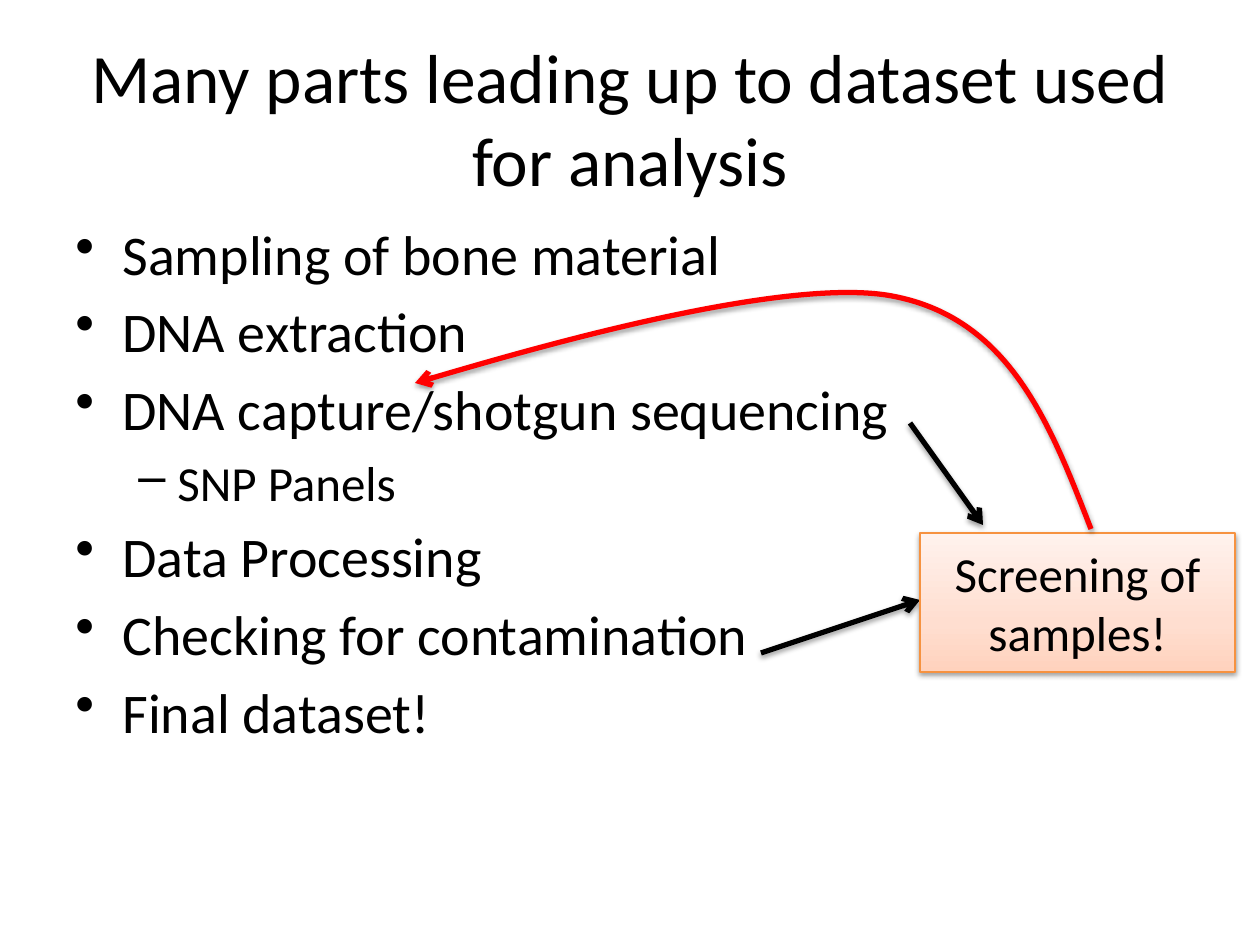
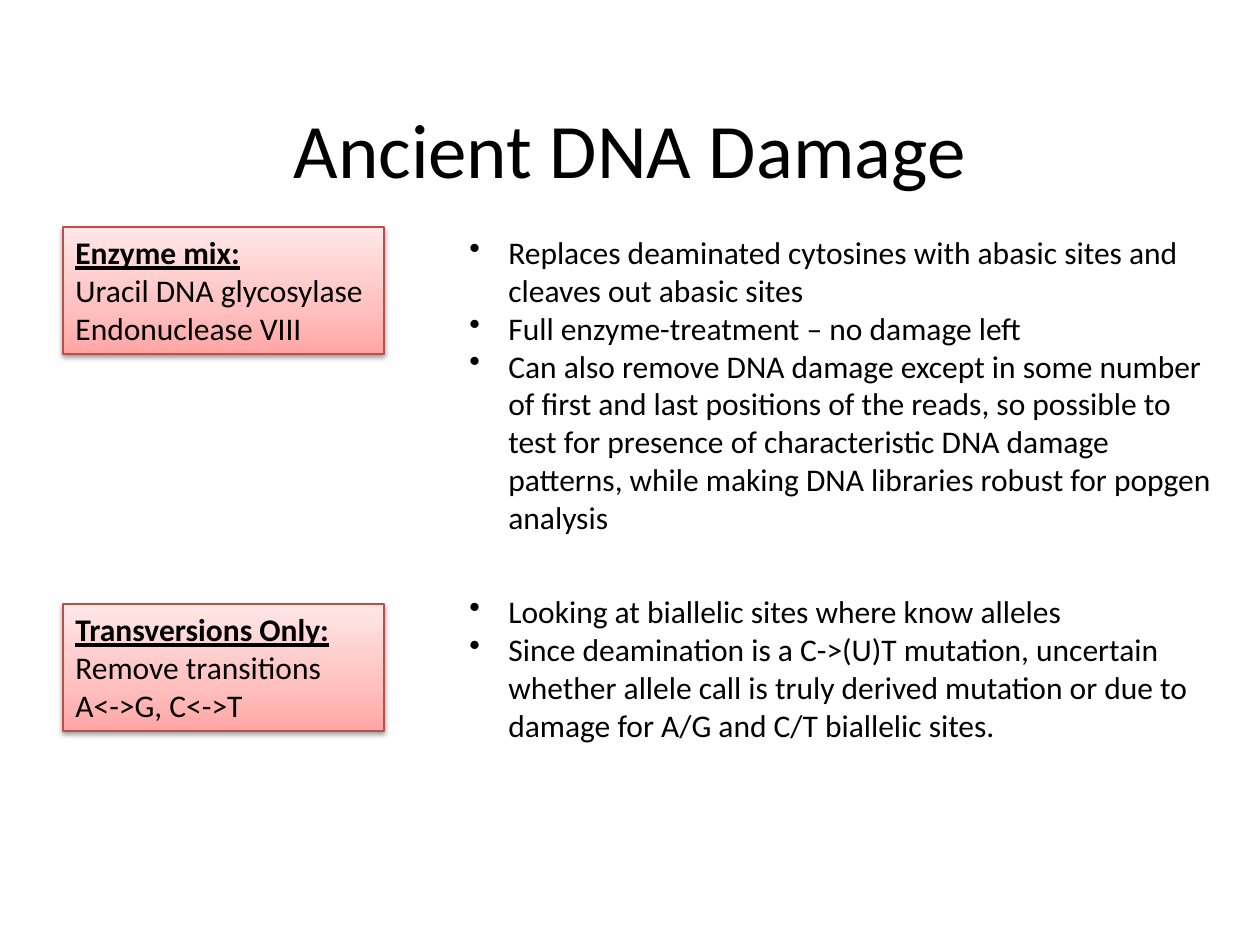
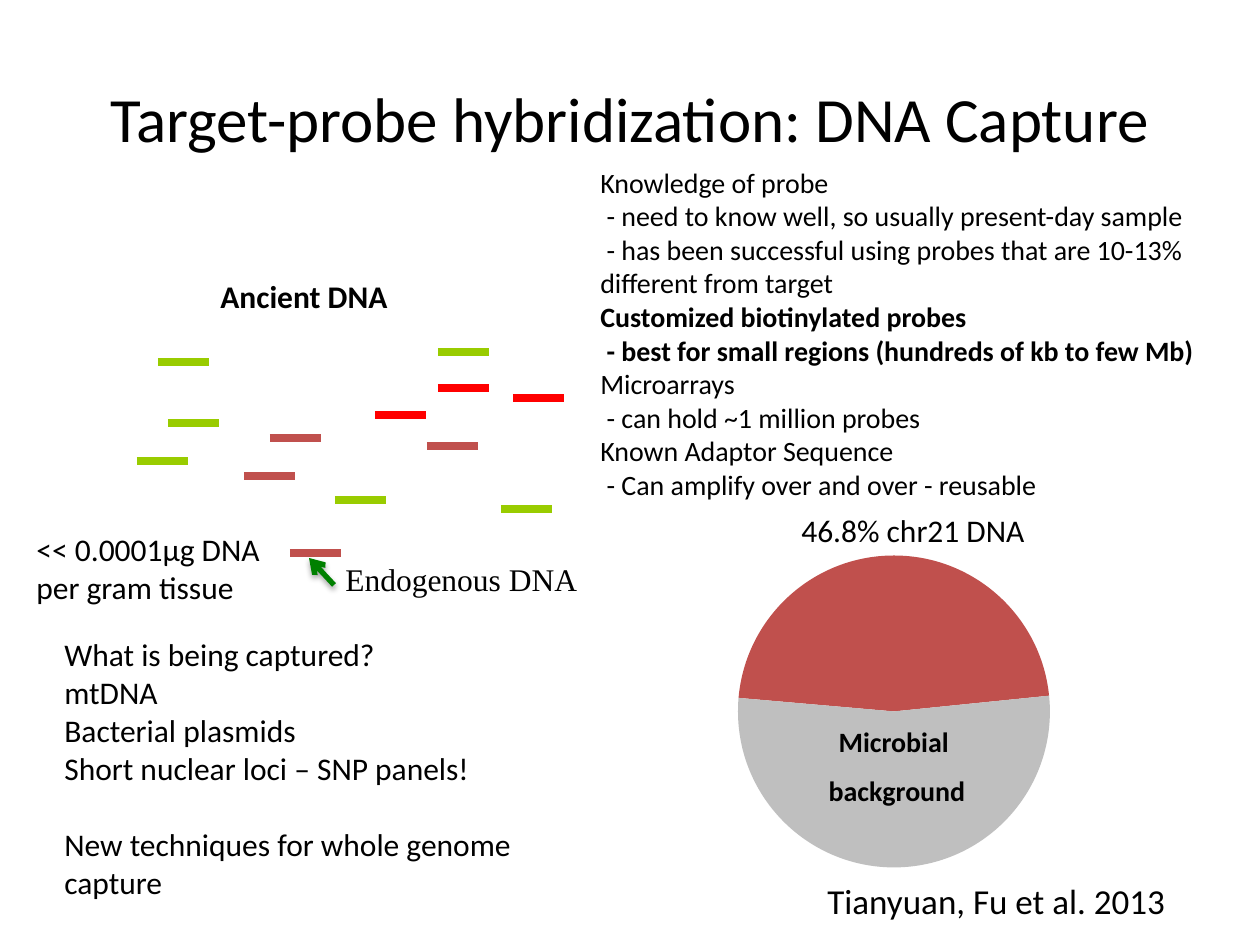
from lxml.etree import SubElement
from pptx import Presentation
from pptx.chart.data import CategoryChartData
from pptx.dml.color import RGBColor
from pptx.enum.chart import XL_CHART_TYPE as ChartType
from pptx.enum.shapes import MSO_CONNECTOR as Connector, MSO_SHAPE as Shape
from pptx.enum.text import MSO_ANCHOR as Anchor, MSO_AUTO_SIZE as AutoSize, PP_ALIGN as Align
from pptx.oxml.ns import qn
from pptx.util import Emu, Pt

SCALE = 914400 / 126
BLACK, RED, BRICK, LIME, GREEN, GREY = "000000", "FF0000", "C0504D", "99CC00", "008000", "BFBFBF"
ORANGE_CARD = {"stops": ("FFD2BD", "FFDED0", "FFF2ED"), "edge": "F69240"}
RED_CARD = {"stops": ("FFA6A5", "FFC0BF", "FFE7E7"), "edge": "BF4C48"}
HEADING = {"bold": True, "underline": True}
BOLD = {"bold": True}
TITLE_BOX = (63, 38, 1134, 158)


def px(length):
    return Emu(round(length * SCALE))


def color(code):
    return RGBColor.from_string(code)


def apply(target, formats):
    for name, value in formats.items():
        setattr(target, name, value)


def inside(box, left, top, width, height):
    return box[0] + left, box[1] + top, width, height


def add_node(parent, tag, **values):
    return SubElement(parent, qn(tag), {name: str(value) for name, value in values.items()})


def cast_shadow(shape, alpha=38, distance=20000):
    effects = add_node(shape._element.spPr, "a:effectLst")
    shadow = add_node(effects, "a:outerShdw", blurRad=40000, dist=distance, dir=5400000, rotWithShape=0)
    tint = add_node(shadow, "a:srgbClr", val=BLACK)
    add_node(tint, "a:alpha", val=alpha * 1000)


def style_line(shape, code, width, arrow=False):
    shape.line.color.rgb = color(code)
    shape.line.width = Pt(width)
    if arrow:
        add_node(shape._element.spPr.find(qn("a:ln")), "a:tailEnd", type="arrow")


def add_line(slide, start, end, code=BLACK, width=3, arrow=False):
    line = slide.shapes.add_connector(Connector.STRAIGHT, *map(px, start + end))
    style_line(line, code, width, arrow)
    return line


def add_bullet(paragraph, mark, margin, hang):
    props = paragraph._p.get_or_add_pPr()
    props.set("marL", str(px(margin)))
    props.set("indent", str(-px(hang)))
    add_node(props, "a:buChar", char=mark)


def write(frame, lines, size, font="Calibri", align=Align.LEFT, before=0):
    for index, line in enumerate(lines):
        text, formats = (line, {}) if isinstance(line, str) else line
        paragraph = frame.paragraphs[0] if index == 0 else frame.add_paragraph()
        apply(paragraph, {"alignment": align, "space_before": Pt(before)})
        run = paragraph.add_run()
        run.text = text
        apply(run.font, {"name": font, "size": Pt(size), **formats})
        run.font.color.rgb = color(BLACK)


def add_text(slide, box, lines, size=18, wrap=True, **formats):
    frame = slide.shapes.add_textbox(*map(px, box)).text_frame
    apply(frame, {"word_wrap": wrap, "auto_size": AutoSize.NONE})
    write(frame, lines, size, **formats)
    return frame


def add_title(slide, text, size, box=TITLE_BOX):
    add_text(slide, box, [text], size, align=Align.CENTER).vertical_anchor = Anchor.MIDDLE


def add_card(slide, box, lines, size, palette, align, anchor):
    card = slide.shapes.add_shape(Shape.RECTANGLE, *map(px, box))
    card.fill.gradient()
    card.fill.gradient_angle = 90
    stops = next(card._element.spPr.iter(qn("a:gsLst")))
    stops[:] = []
    for position, code in zip((0, 35, 100), palette["stops"]):
        add_node(add_node(stops, "a:gs", pos=position * 1000), "a:srgbClr", val=code)
    style_line(card, palette["edge"], 0.75)
    cast_shadow(card)
    apply(card.text_frame, {"word_wrap": True, "vertical_anchor": anchor})
    write(card.text_frame, lines, size, align=align)


def add_curve(slide, start, bends):
    builder = slide.shapes.build_freeform(*start, scale=SCALE)
    builder.add_line_segments([bend[-1] for bend in bends], close=False)
    curve = builder.convert_to_shape()
    ends = [start] + [bend[-1] for bend in bends]
    left, top = (min(values) for values in zip(*ends))
    for segment, bend in zip(list(curve._element.iter(qn("a:lnTo"))), bends):
        segment.tag = qn("a:cubicBezTo")
        segment[:] = []
        for x, y in bend:
            add_node(segment, "a:pt", x=x - left, y=y - top)
    curve.fill.background()
    style_line(curve, RED, 3, arrow=True)
    cast_shadow(curve)


def add_steps(slide, box, steps):
    frame = add_text(slide, box, [text for text, _ in steps], 32, before=6)
    for paragraph, (_, level) in zip(frame.paragraphs, steps):
        if level:
            paragraph.level = level
            paragraph.runs[0].font.size = Pt(28)
            add_bullet(paragraph, "–", 102, 39)
        else:
            add_bullet(paragraph, "•", 47, 47)


def add_screening(slide, box):
    def at(x, y):
        return box[0] + x, box[1] + y

    for start, end in [((-10, -110), (63, -8)), ((-159, 120), (0, 67))]:
        cast_shadow(add_line(slide, at(*start), at(*end), arrow=True))
    add_card(slide, box, ["Screening of samples!"], 28, ORANGE_CARD, Align.CENTER, Anchor.MIDDLE)
    add_curve(slide, at(171, -4), [
        [at(131, -107), at(91, -212), at(-23, -236)],
        [at(-135, -261), at(-505, -150), at(-505, -150)],
    ])


def add_method(slide, box, drop, heading, details, remarks):
    add_card(slide, inside(box, 0, drop, 321, 127), [(heading, HEADING), *details], 18,
             RED_CARD, Align.LEFT, Anchor.TOP)
    frame = add_text(slide, inside(box, 394, 0, box[2] - 394, box[3]), remarks)
    for paragraph in frame.paragraphs:
        add_bullet(paragraph, "•", 39, 39)


def add_fragments(slide, box):
    fragments = {
        BRICK: [(220, 205), (246, 167), (266, 282), (403, 175)],
        RED: [(351, 144), (489, 127), (414, 117)],
        LIME: [(134, 91), (144, 152), (113, 190), (311, 229), (414, 81), (477, 238)],
    }
    for code, starts in fragments.items():
        for left, top in starts:
            x, y = box[0] + left, box[1] + top
            strand = add_line(slide, (x, y), (x + 51, y), code, 4.5)
            add_node(strand._element.spPr, "a:effectLst")
    add_text(slide, inside(box, 184, 0, 194, 50), [("Ancient DNA", BOLD)], wrap=False)
    add_text(slide, inside(box, 0, 253, 287, 88), ["<< 0.0001μg DNA", "per gram tissue"], wrap=False)
    add_text(slide, inside(box, 309, 283, 260, 50), ["Endogenous DNA"], wrap=False,
             font="Times New Roman")
    pointer = add_line(slide, (box[0] + 310, box[1] + 314), (box[0] + 285, box[1] + 287),
                       GREEN, arrow=True)
    cast_shadow(pointer, 35, 23000)


def add_share_pie(slide, box):
    shares = CategoryChartData()
    shares.categories = ["1", "2"]
    shares.add_series("Series 1", (47, 53))
    chart = slide.shapes.add_chart(ChartType.PIE, *map(px, box), shares).chart
    apply(chart, {"has_title": False, "has_legend": False})
    apply(chart.font, {"name": "Calibri", "size": Pt(18)})
    chart.font.color.rgb = color(BLACK)
    plot = chart.plots[0]
    plot.vary_by_categories = True
    for index, code in enumerate((BRICK, GREY)):
        slice_format = plot.series[0].points[index].format
        slice_format.fill.solid()
        slice_format.fill.fore_color.rgb = color(code)
        slice_format.line.fill.background()

    area = next(chart._chartSpace.iter(qn("c:plotArea")))
    pie = area.find(qn("c:pieChart"))
    for parent, tag in ((area, "c:layout"), (pie, "c:firstSliceAng")):
        for node in parent.findall(qn(tag)):
            parent.remove(node)
    add_node(pie, "c:firstSliceAng", val=275)
    layout = add_node(area, "c:layout")
    area.insert(0, layout)
    manual = add_node(layout, "c:manualLayout")
    settings = {"layoutTarget": "inner", "xMode": "edge", "yMode": "edge",
                "x": 0.14, "y": 0.08, "w": 0.52, "h": 0.87}
    for name, value in settings.items():
        add_node(manual, f"c:{name}", val=value)

    add_text(slide, inside(box, 161, 232, 164, 97), [("Microbial ", BOLD), ("background", BOLD)], 16,
             wrap=False, align=Align.CENTER, before=9)
    add_text(slide, inside(box, 161, 387, 430, 55), ["Tianyuan, Fu et al. 2013"], 20)
    add_text(slide, inside(box, 135, 19, 341, 50), ["46.8% chr21 DNA"])


def build_overview(slide):
    add_title(slide, "Many parts leading up to dataset used for analysis", 39.6)
    add_steps(slide, (63, 213, 1134, 677), [
        ("Sampling of bone material", 0),
        ("DNA extraction", 0),
        ("DNA capture/shotgun sequencing", 0),
        ("SNP Panels", 1),
        ("Data Processing", 0),
        ("Checking for contamination", 0),
        ("Final dataset!", 0),
    ])
    add_screening(slide, (920, 533, 315, 139))


def build_damage(slide):
    add_title(slide, "Ancient DNA Damage", 44, inside(TITLE_BOX, 0, 31, *TITLE_BOX[2:]))
    add_method(slide, (63, 227, 1163, 318), 0, "Enzyme mix:",
               ["Uracil DNA glycosylase", "Endonuclease VIII"], [
        "Replaces deaminated cytosines with abasic sites and cleaves out abasic sites",
        "Full enzyme-treatment – no damage left",
        "Can also remove DNA damage except in some number of first and last positions of the reads, "
        "so possible to test for presence of characteristic DNA damage patterns, while making DNA "
        "libraries robust for popgen analysis",
    ])
    add_method(slide, (63, 586, 1163, 165), 18, "Transversions Only:",
               ["Remove transitions", "A<->G, C<->T"], [
        "Looking at biallelic sites where know alleles",
        "Since deamination is a C->(U)T mutation, uncertain whether allele call is truly derived "
        "mutation or due to damage for A/G and C/T biallelic sites.",
    ])


def build_capture(slide):
    add_title(slide, "Target-probe hybridization: DNA Capture", 36)
    add_fragments(slide, (24, 271, 569, 341))
    targets = add_text(slide, (52, 629, 542, 318), [
        "What is being captured?",
        "mtDNA",
        "Bacterial plasmids",
        "Short nuclear loci – SNP panels!",
        "New techniques for whole genome capture",
    ])
    targets.paragraphs[-1].space_before = Pt(22)
    add_share_pie(slide, (654, 486, 600, 438))
    add_text(slide, (588, 159, 678, 352), [
        "Knowledge of probe",
        " - need to know well, so usually present-day sample",
        " - has been successful using probes that are 10-13% different from target",
        ("Customized biotinylated probes", BOLD),
        (" - best for small regions (hundreds of kb to few Mb)", BOLD),
        "Microarrays",
        " - can hold ~1 million probes",
        "Known Adaptor Sequence",
        " - Can amplify over and over - reusable",
    ], 16)


def main():
    deck = Presentation()
    apply(deck, {"slide_width": px(1260), "slide_height": px(945)})
    for build in (build_overview, build_damage, build_capture):
        build(deck.slides.add_slide(deck.slide_layouts[6]))
    deck.save("out.pptx")


if __name__ == "__main__":
    main()
